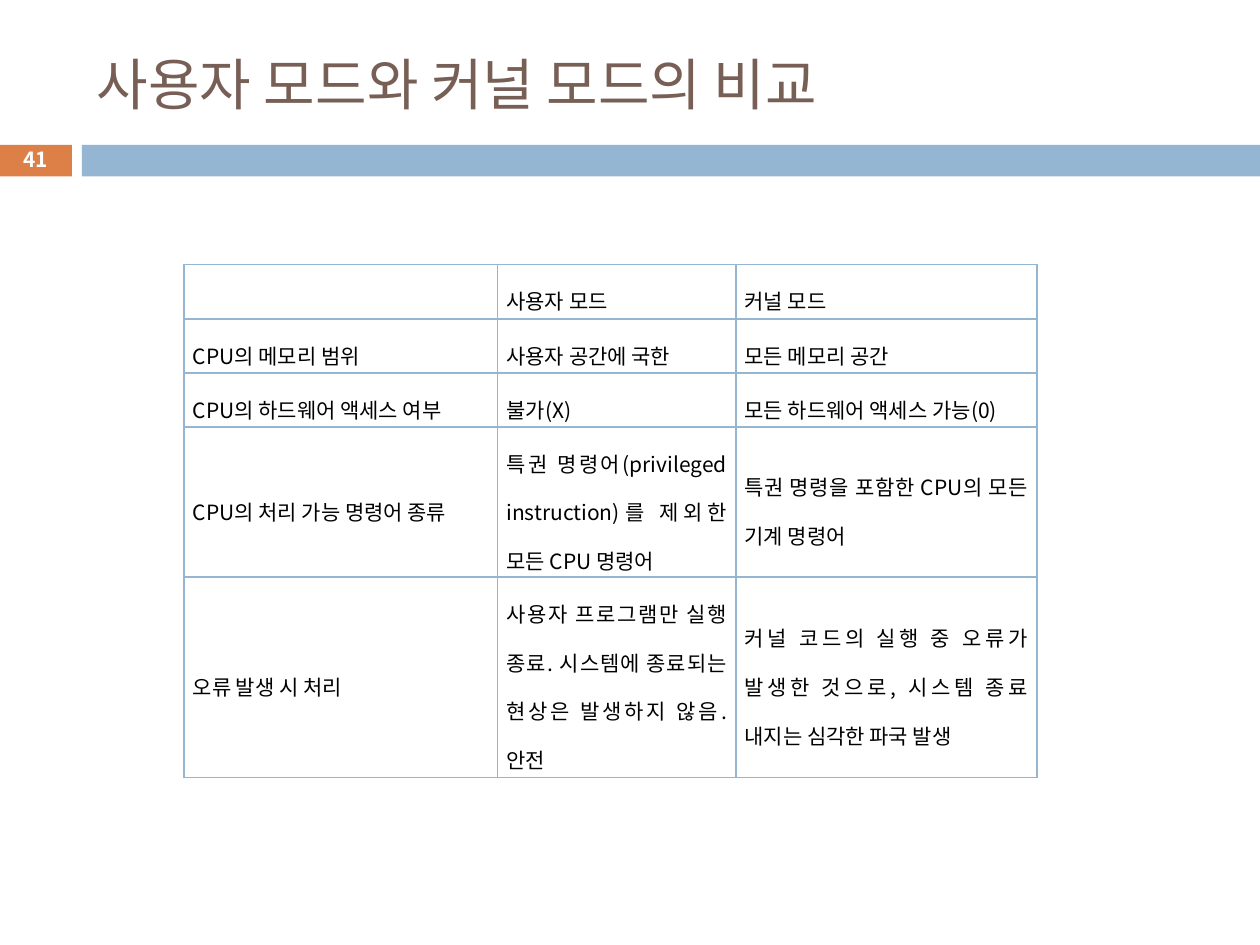
"""Build a slide comparing user mode and kernel mode in a table."""
from dataclasses import dataclass

from lxml import etree
from pptx import Presentation
from pptx.dml.color import RGBColor
from pptx.enum.shapes import MSO_SHAPE
from pptx.enum.text import MSO_ANCHOR, PP_ALIGN
from pptx.oxml.ns import qn
from pptx.util import Inches, Pt

RECTANGLE = MSO_SHAPE.RECTANGLE
MIDDLE = MSO_ANCHOR.MIDDLE
LEFT, CENTER, JUSTIFY = PP_ALIGN.LEFT, PP_ALIGN.CENTER, PP_ALIGN.JUSTIFY


@dataclass(frozen=True)
class Theme:
    font: str = "Noto Sans CJK KR"
    title_color: str = "775F55"
    accent: str = "DD8047"
    band: str = "94B6D2"
    body_color: str = "000000"
    number_color: str = "FFFFFF"
    title_size: float = 32
    number_size: float = 11.9
    body_size: float = 12
    line_spacing: float = 1.6
    border_width: float = 1


class SlideBuilder:
    def __init__(self, slide, theme):
        self.slide = slide
        self.theme = theme

    def add_run(self, paragraph, text, size, color, bold=False):
        run = paragraph.add_run()
        run.text = text
        run.font.size = Pt(size)
        run.font.bold = bold
        run.font.color.rgb = RGBColor.from_string(color)
        run.font.name = self.theme.font
        east_asian = etree.SubElement(run.font._element, qn("a:ea"))
        east_asian.set("typeface", self.theme.font)

    def bar(self, left, top, width, height, color):
        bar = self.slide.shapes.add_shape(
            RECTANGLE, Inches(left), Inches(top), Inches(width), Inches(height))
        bar.shadow.inherit = False
        bar.fill.solid()
        bar.fill.fore_color.rgb = RGBColor.from_string(color)
        bar.line.fill.background()

    def text(self, left, top, width, height, text, size, color, align=LEFT, bold=False):
        box = self.slide.shapes.add_textbox(
            Inches(left), Inches(top), Inches(width), Inches(height))
        frame = box.text_frame
        frame.word_wrap = True
        frame.vertical_anchor = MIDDLE
        paragraph = frame.paragraphs[0]
        paragraph.alignment = align
        self.add_run(paragraph, text, size, color, bold)

    def border(self, cell):
        properties = cell._tc.get_or_add_tcPr()
        for position, side in enumerate(("a:lnL", "a:lnR", "a:lnT", "a:lnB")):
            line = etree.Element(qn(side), w=str(Pt(self.theme.border_width)))
            fill = etree.SubElement(line, qn("a:solidFill"))
            etree.SubElement(fill, qn("a:srgbClr"), val=self.theme.band)
            properties.insert(position, line)

    def fill_cell(self, cell, text):
        cell.fill.background()
        cell.vertical_anchor = MIDDLE
        cell.margin_left = cell.margin_right = Inches(0.07)
        cell.margin_top = cell.margin_bottom = Inches(0.02)
        self.border(cell)
        if text:
            paragraph = cell.text_frame.paragraphs[0]
            paragraph.alignment = JUSTIFY
            paragraph.line_spacing = self.theme.line_spacing
            self.add_run(paragraph, text, self.theme.body_size, self.theme.body_color)

    def table(self, left, top, widths, heights, rows):
        table = self.slide.shapes.add_table(
            len(rows), len(widths), Inches(left), Inches(top),
            Inches(sum(widths)), Inches(sum(heights))).table
        table.first_row = table.horz_banding = False
        for column, width in zip(table.columns, widths):
            column.width = Inches(width)
        for row, height, texts in zip(table.rows, heights, rows):
            row.height = Inches(height)
            for cell, text in zip(row.cells, texts):
                self.fill_cell(cell, text)


COMPARISON = [
    ("", "사용자 모드", "커널 모드"),
    ("CPU의 메모리 범위", "사용자 공간에 국한", "모든 메모리 공간"),
    ("CPU의 하드웨어 액세스 여부", "불가(X)", "모든 하드웨어 액세스 가능(0)"),
    ("CPU의 처리 가능 명령어 종류",
     "특권 명령어(privileged instruction)를 제외한 모든 CPU 명령어",
     "특권 명령을 포함한 CPU의 모든 기계 명령어"),
    ("오류 발생 시 처리",
     "사용자 프로그램만 실행 종료. 시스템에 종료되는 현상은 발생하지 않음. 안전",
     "커널 코드의 실행 중 오류가 발생한 것으로, 시스템 종료 내지는 심각한 파국 발생"),
]


def main():
    presentation = Presentation()
    presentation.slide_width = Inches(10)
    presentation.slide_height = Inches(7.5)
    theme = Theme()
    slide = presentation.slides.add_slide(presentation.slide_layouts[6])
    builder = SlideBuilder(slide, theme)

    builder.bar(-0.01, 1.15, 0.58, 0.25, theme.accent)
    builder.bar(0.65, 1.15, 9.35, 0.25, theme.band)
    builder.text(0.67, 0.25, 8.92, 0.82, "사용자 모드와 커널 모드의 비교",
                 theme.title_size, theme.title_color)
    builder.text(-0.01, 1.13, 0.58, 0.27, "41", theme.number_size,
                 theme.number_color, CENTER, bold=True)
    builder.table(1.46, 2.1, [2.49, 1.89, 2.39],
                  [0.43, 0.43, 0.43, 1.19, 1.59], COMPARISON)

    presentation.save("out.pptx")


if __name__ == "__main__":
    main()
